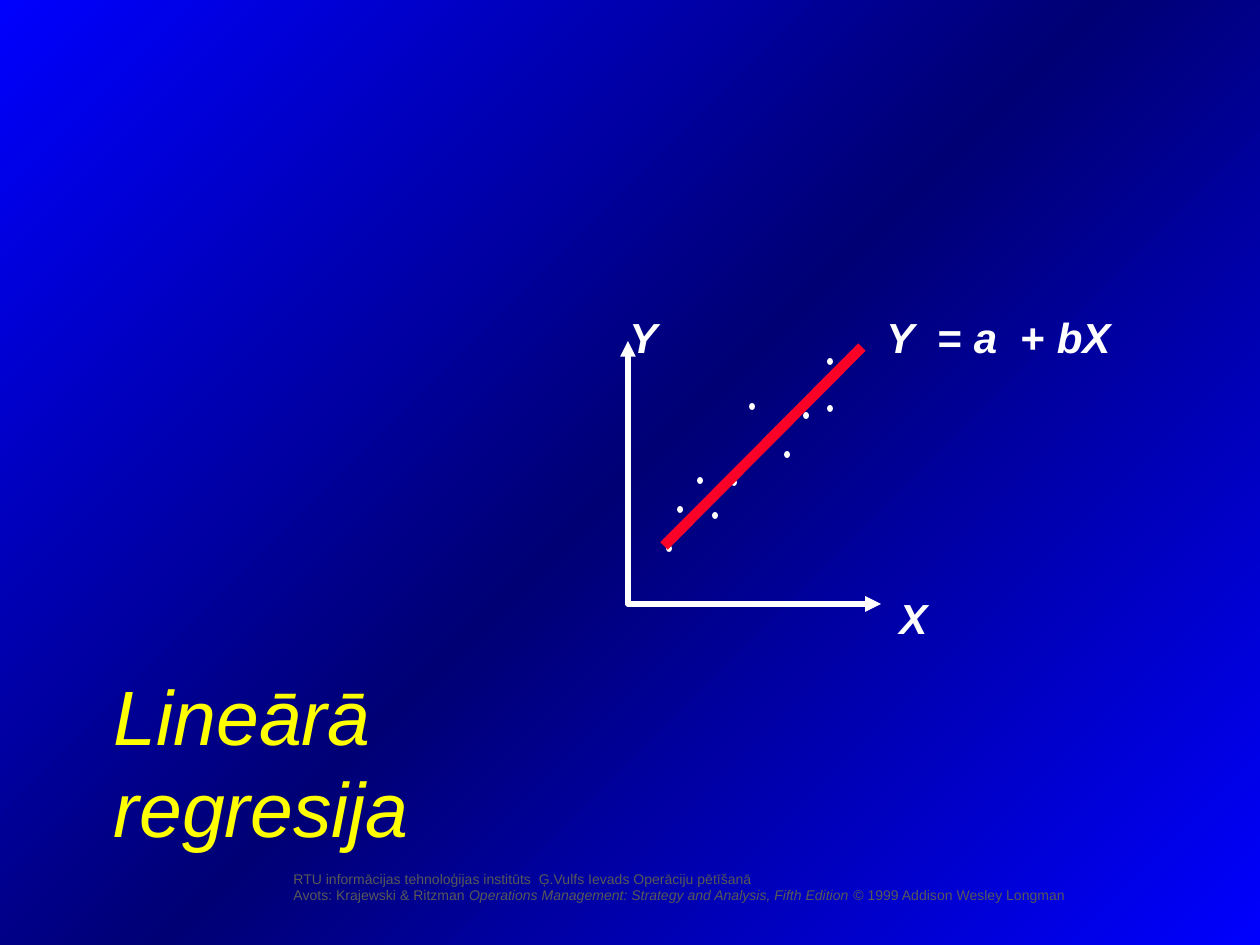
from lxml import etree
from pptx import Presentation, util as u
from pptx.dml import color
from pptx.enum import shapes, text
from pptx.oxml import ns, parse_xml

SCALE = 914400 / 126
WHITE = "FFFFFF"
DOTS = [(667, 546), (678, 507), (698, 478), (732, 480), (828, 359),
        (713, 513), (750, 404), (785, 452), (804, 413), (828, 406)]


def px(n):
    return u.Emu(round(n * SCALE))


def rgb(value):
    return color.RGBColor.from_string(value)


def set_background(slide, stops, angle):
    gs = "".join(f'<a:gs pos="{pos * 1000}"><a:srgbClr val="{c}"/></a:gs>' for pos, c in stops)
    bg = parse_xml(
        f'<p:bg {ns.nsdecls("p", "a")}><p:bgPr><a:gradFill rotWithShape="0">'
        f'<a:gsLst>{gs}</a:gsLst><a:lin ang="{angle * 60000}" scaled="0"/></a:gradFill>'
        '<a:effectLst/></p:bgPr></p:bg>')
    slide.element.cSld.insert(0, bg)


def set_line(line, value, width):
    line.color.rgb = rgb(value)
    line.width = u.Pt(width)


def fill_text(sp, box, paragraphs, size, value, bold=False, wrap=False):
    sp.left, sp.top, sp.width, sp.height = map(px, box)
    tf = sp.text_frame
    tf.word_wrap = wrap
    tf.auto_size = text.MSO_AUTO_SIZE.SHAPE_TO_FIT_TEXT
    tf.vertical_anchor = text.MSO_ANCHOR.TOP
    for i, runs in enumerate(paragraphs):
        p = tf.add_paragraph() if i else tf.paragraphs[0]
        p.alignment = text.PP_ALIGN.LEFT
        p.line_spacing = 1.0
        p.space_before = u.Pt(0)
        for words, italic in runs:
            r = p.add_run()
            r.text = words
            r.font.name = "Arial"
            r.font.size = u.Pt(size)
            r.font.bold = bold
            r.font.italic = italic
            r.font.color.rgb = rgb(value)


def add_text(slide, box, paragraphs, *style, **options):
    sp = slide.shapes.add_textbox(*map(px, box))
    fill_text(sp, box, paragraphs, *style, **options)


def add_axes(slide, points):
    start, *rest = [(px(x), px(y)) for x, y in points]
    builder = slide.shapes.build_freeform(*start)
    builder.add_line_segments(rest, close=False)
    sp = builder.convert_to_shape()
    sp.shadow.inherit = False
    sp.fill.background()
    set_line(sp.line, WHITE, 3)
    ln = sp.line.fill._xPr
    for end in ("a:headEnd", "a:tailEnd"):
        etree.SubElement(ln, ns.qn(end), type="triangle")


def add_dot(slide, x, y):
    sp = slide.shapes.add_shape(shapes.MSO_SHAPE.OVAL, px(x), px(y), px(4), px(5))
    sp.shadow.inherit = False
    sp.fill.solid()
    sp.fill.fore_color.rgb = rgb(WHITE)
    set_line(sp.line, WHITE, 1)


def add_trend(slide, *ends):
    line = slide.shapes.add_connector(shapes.MSO_CONNECTOR.STRAIGHT, *map(px, ends))
    set_line(line.line, "FC0128", 6)
    etree.SubElement(line.element.spPr, ns.qn("a:effectLst"))


def main():
    prs = Presentation()
    prs.slide_width, prs.slide_height = u.Inches(10), u.Inches(7.5)
    slide = prs.slides.add_slide(prs.slide_layouts[5])
    set_background(slide, [(0, "0000FF"), (50, "000075"), (100, "0000FF")], 225)

    add_text(slide, (281, 864, 979, 47), [
        [("RTU informācijas tehnoloģijas institūts  Ģ.Vulfs Ievads Operāciju pētīšanā", False)],
        [("Avots: Krajewski & Ritzman ", False),
         ("Operations Management: Strategy and Analysis, Fifth Edition", True),
         (" © 1999 Addison Wesley Longman", False)],
    ], 8, "595959", wrap=True)
    fill_text(slide.shapes.title, (101, 662, 598, 106),
              [[("Lineārā regresija", True)]], 44, "FFFF00")

    add_axes(slide, [(628, 341), (628, 604), (881, 604)])
    for name, x, y in (("X", 887, 586), ("Y", 617, 305)):
        add_text(slide, (x, y, 53, 63), [[(name, True)]], 24, WHITE, bold=True)
    for x, y in DOTS:
        add_dot(slide, x, y)
    add_trend(slide, 664, 546, 862, 347)
    add_text(slide, (874, 305, 249, 63),
             [[("Y", True), ("  = ", False), ("a", True), ("  + ", False), ("bX", True)]],
             24, WHITE, bold=True)

    prs.save("out.pptx")


if __name__ == "__main__":
    main()
